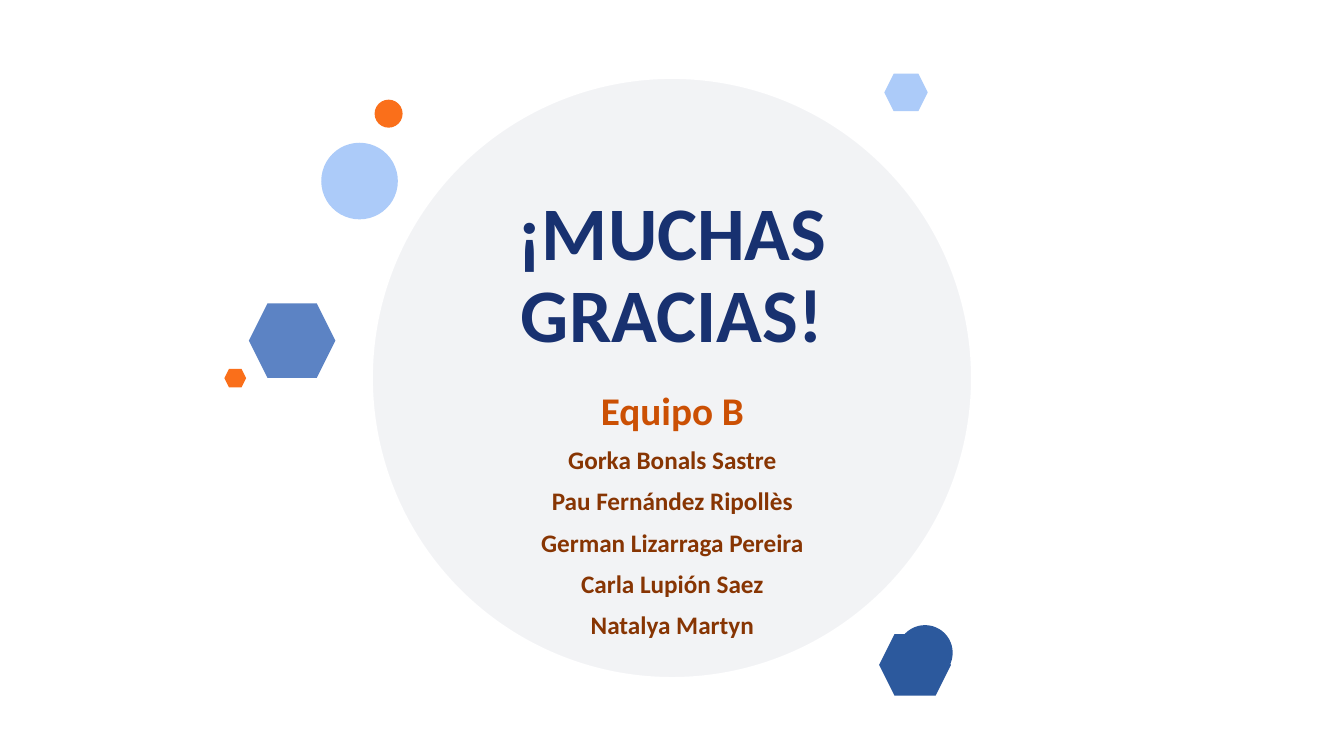
from lxml import etree
from pptx import Presentation
from pptx.dml.color import RGBColor
from pptx.enum.shapes import MSO_SHAPE
from pptx.enum.text import MSO_ANCHOR, MSO_AUTO_SIZE, PP_ALIGN
from pptx.oxml.ns import qn
from pptx.util import Pt

ELLIPSE = MSO_SHAPE.OVAL
HEXAGON = MSO_SHAPE.HEXAGON
CENTER = PP_ALIGN.CENTER
MIDDLE, BOTTOM = MSO_ANCHOR.MIDDLE, MSO_ANCHOR.BOTTOM
NO_AUTOFIT = MSO_AUTO_SIZE.NONE
TITLE_ONLY = 5

WHITE, NAVY, TITLE_BLUE = "FFFFFF", "11224E", "183170"
DARK_BLUE, MID_BLUE, LIGHT_BLUE = "2C599D", "5C83C4", "ACCBF9"
ORANGE, DARK_ORANGE, BROWN = "FA6F1A", "CB5004", "873503"


def rgb(color):
    return RGBColor.from_string(color)


class ClosingSlide:
    font = "Calibri"

    def __init__(self, presentation):
        layout = presentation.slide_layouts[TITLE_ONLY]
        self.slide = presentation.slides.add_slide(layout)

    def paint(self, fill, color, opacity=100):
        fill.solid()
        fill.fore_color.rgb = rgb(color)
        if opacity < 100:
            element = fill._xPr.find(".//" + qn("a:srgbClr"))
            etree.SubElement(element, qn("a:alpha"), val=str(opacity * 1000))

    def add_figure(self, kind, left, top, width, height, color, opacity=100):
        box = [Pt(value) for value in (left, top, width, height)]
        shape = self.slide.shapes.add_shape(kind, *box)
        shape.shadow.inherit = False
        self.paint(shape.fill, color, opacity)
        shape.line.fill.background()
        return shape

    def add_ring(self, left, top, size, color, opacity, line_width, line_opacity=100):
        shape = self.add_figure(ELLIPSE, left, top, size, size, color, opacity)
        shape.line.width = Pt(line_width)
        self.paint(shape.line.fill, WHITE, line_opacity)

    def fill_text(self, shape, lines, anchor):
        """Each line is (text, size, color)."""
        frame = shape.text_frame
        frame.word_wrap = True
        frame.auto_size = NO_AUTOFIT
        frame.vertical_anchor = anchor
        frame.text = "\n".join(text for text, _, _ in lines)
        for paragraph, (_, size, color) in zip(frame.paragraphs, lines):
            paragraph.alignment = CENTER
            paragraph.line_spacing = 0.9
            paragraph.space_before = Pt(10)
            font = paragraph.runs[0].font
            font.name, font.size, font.bold = self.font, Pt(size), True
            font.color.rgb = rgb(color)

    def add_text(self, left, top, width, height, lines, anchor):
        box = [Pt(value) for value in (left, top, width, height)]
        self.fill_text(self.slide.shapes.add_textbox(*box), lines, anchor)

    def set_title(self, left, top, width, height, text, size, color):
        title = self.slide.shapes.title
        title.left, title.top = Pt(left), Pt(top)
        title.width, title.height = Pt(width), Pt(height)
        self.fill_text(title, [(text, size, color)], MIDDLE)
        # Bring the title in front of the circles
        self.slide.shapes._spTree.append(title._element)


def main():
    presentation = Presentation()
    presentation.slide_width, presentation.slide_height = Pt(960), Pt(540)
    closing = ClosingSlide(presentation)

    # Large circle and small dots
    closing.add_ring(264, 54, 432, NAVY, 40, 4.75)
    dots = [
        (641, 446.5, 39.5, DARK_BLUE),
        (229.5, 102, 54.7, LIGHT_BLUE),
        (267.6, 71.2, 20, ORANGE),
    ]
    for left, top, size, color in dots:
        closing.add_figure(ELLIPSE, left, top, size, size, color)
    closing.add_ring(263, 52.8, 434, WHITE, 87, 5, 95)

    # Team and title
    members = [
        "Gorka Bonals Sastre",
        "Pau Fernández Ripollès",
        "German Lizarraga Pereira",
        "Carla Lupión Saez",
        "Natalya Martyn",
    ]
    team = [("Equipo B", 28, DARK_ORANGE)]
    team += [(member, 18, BROWN) for member in members]
    closing.add_text(355, 270.7, 250.5, 190, team, BOTTOM)
    closing.set_title(301, 134, 358, 128, "¡MUCHAS GRACIAS!", 54, TITLE_BLUE)

    # Hexagons
    hexagons = [
        (628, 453, 51.3, 44, DARK_BLUE),
        (177.8, 216.7, 61.8, 53.3, MID_BLUE),
        (631.7, 52.7, 31, 26.7, LIGHT_BLUE),
        (160.3, 263.4, 15.5, 13.4, ORANGE),
    ]
    for left, top, width, height, color in hexagons:
        closing.add_figure(HEXAGON, left, top, width, height, color)

    presentation.save("out.pptx")


if __name__ == "__main__":
    main()
